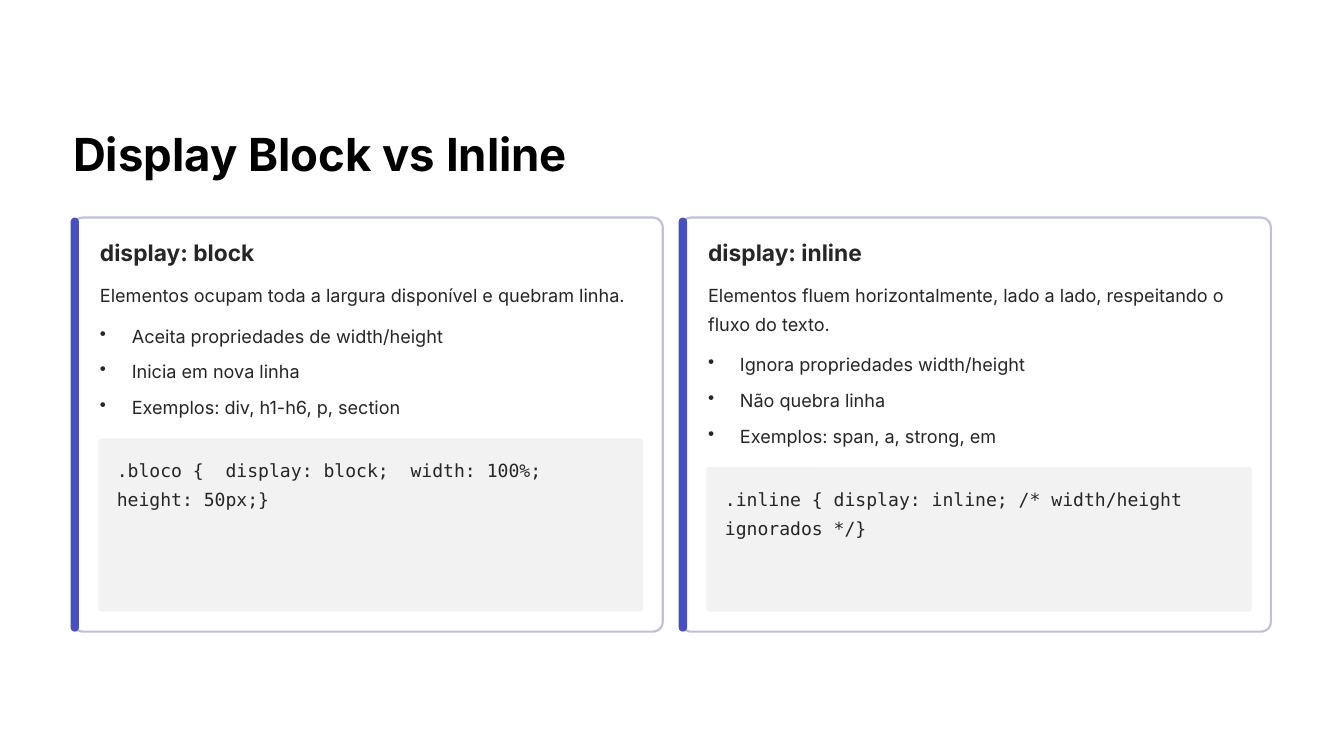
from dataclasses import dataclass

from lxml.etree import SubElement
from pptx import Presentation
from pptx.dml.color import RGBColor
from pptx.enum.shapes import MSO_SHAPE as Preset
from pptx.enum.text import MSO_ANCHOR as Anchor, MSO_AUTO_SIZE as AutoSize, PP_ALIGN as Align
from pptx.oxml.ns import qn
from pptx.shapes.autoshape import Shape
from pptx.slide import Slide
from pptx.text.text import TextFrame
from pptx.util import Pt

EMU_PER_PX = 9144


@dataclass(frozen=True)
class Theme:
    sans: str = "Inter"
    mono: str = "DejaVu Sans Mono"
    paper: str = "FFFFFF"
    title: str = "000000"
    ink: str = "272525"
    border: str = "C0C1D7"
    accent: str = "4950BC"
    code: str = "F2F2F2"
    title_size: float = 39
    heading_size: float = 19.5
    body_size: float = 15.5
    title_line: float = 48.5
    heading_line: float = 24
    body_line: float = 25
    bullet_gap: float = 5.6


@dataclass(frozen=True)
class Box:
    left: int
    top: int
    width: int
    height: int

    def emu(self) -> tuple[int, int, int, int]:
        return px(self.left), px(self.top), px(self.width), px(self.height)


@dataclass(frozen=True)
class DisplayMode:
    heading: str
    summary: str
    summary_height: int
    traits: tuple[str, ...]
    code: str


THEME = Theme()
CARD_LEFT, CARD_TOP, CARD_WIDTH, CARD_HEIGHT = 87, 259, 702, 493
CARD_PITCH = 724
TEXT_WIDTH = 646
BULLET_INDENT = 38

MODES = (
    DisplayMode(
        "display: block",
        "Elementos ocupam toda a largura disponível e quebram linha.",
        35,
        ("Aceita propriedades de width/height", "Inicia em nova linha",
         "Exemplos: div, h1-h6, p, section"),
        ".bloco {  display: block;  width: 100%;  height: 50px;}",
    ),
    DisplayMode(
        "display: inline",
        "Elementos fluem horizontalmente, lado a lado, respeitando o fluxo do texto.",
        69,
        ("Ignora propriedades width/height", "Não quebra linha",
         "Exemplos: span, a, strong, em"),
        ".inline { display: inline; /* width/height ignorados */}",
    ),
)


def px(length: int) -> int:
    return length * EMU_PER_PX


def write(frame: TextFrame, *lines: str, size: float = THEME.body_size,
          line: float = THEME.body_line, font: str = THEME.sans,
          color: str = THEME.ink, bold: bool = False, wrap: bool = True,
          bullet: bool = False) -> None:
    frame.margin_left = frame.margin_top = frame.margin_right = frame.margin_bottom = 0
    frame.auto_size = AutoSize.NONE
    frame.word_wrap = wrap
    frame.vertical_anchor = Anchor.TOP
    for index, text in enumerate(lines):
        paragraph = frame.add_paragraph() if index else frame.paragraphs[0]
        if bullet:
            properties = paragraph._p.get_or_add_pPr()
            properties.set("marL", str(px(BULLET_INDENT)))
            properties.set("indent", str(-px(BULLET_INDENT)))
            SubElement(properties, qn("a:buChar")).set("char", "•")
        paragraph.alignment = Align.LEFT
        paragraph.line_spacing = Pt(line)
        paragraph.space_before = Pt(THEME.bullet_gap if index else 0)
        run = paragraph.add_run()
        run.text = text
        run.font.name = font
        run.font.size = Pt(size)
        run.font.bold = bold
        run.font.color.rgb = RGBColor.from_string(color)


def add_text(slide: Slide, box: Box, *lines: str, **style) -> None:
    write(slide.shapes.add_textbox(*box.emu()).text_frame, *lines, **style)


def add_panel(slide: Slide, box: Box, fill: str, corner: float,
              border: str | None = None) -> Shape:
    panel = slide.shapes.add_shape(Preset.ROUNDED_RECTANGLE, *box.emu())
    panel.shadow.inherit = False
    panel.adjustments[0] = corner
    panel.fill.solid()
    panel.fill.fore_color.rgb = RGBColor.from_string(fill)
    if border:
        panel.line.color.rgb = RGBColor.from_string(border)
        panel.line.width = Pt(1.8)
    else:
        panel.line.fill.background()
    return panel


def add_card(slide: Slide, mode: DisplayMode, left: int) -> None:
    text_left = left + 32
    summary_top = CARD_TOP + 71
    traits_top = summary_top + mode.summary_height + 13
    code_top = traits_top + 144
    code_height = CARD_TOP + CARD_HEIGHT - 24 - code_top

    add_panel(slide, Box(left, CARD_TOP, CARD_WIDTH, CARD_HEIGHT),
              THEME.paper, 0.024, THEME.border)
    add_panel(slide, Box(left - 3, CARD_TOP, 10, CARD_HEIGHT), THEME.accent, 0.5)
    add_text(slide, Box(text_left, CARD_TOP + 24, 271, 34), mode.heading,
             size=THEME.heading_size, line=THEME.heading_line, bold=True, wrap=False)
    add_text(slide, Box(text_left, summary_top, TEXT_WIDTH, mode.summary_height),
             mode.summary)
    add_text(slide, Box(text_left, traits_top, TEXT_WIDTH, 120), *mode.traits, bullet=True)
    add_panel(slide, Box(text_left - 2, code_top, TEXT_WIDTH + 3, code_height),
              THEME.code, 0.018)
    add_text(slide, Box(text_left + 20, code_top + 16, 605, code_height - 32),
             mode.code, font=THEME.mono)


def main() -> None:
    deck = Presentation()
    deck.slide_width, deck.slide_height = px(1600), px(900)
    slide = deck.slides.add_slide(deck.slide_layouts[5])
    slide.background.fill.solid()
    slide.background.fill.fore_color.rgb = RGBColor.from_string(THEME.paper)

    title = slide.shapes.title
    title.left, title.top, title.width, title.height = Box(CARD_LEFT, 148, 590, 68).emu()
    write(title.text_frame, "Display Block vs Inline", size=THEME.title_size,
          line=THEME.title_line, color=THEME.title, bold=True, wrap=False)

    for index, mode in enumerate(MODES):
        add_card(slide, mode, CARD_LEFT + index * CARD_PITCH)
    deck.save("out.pptx")


if __name__ == "__main__":
    main()
